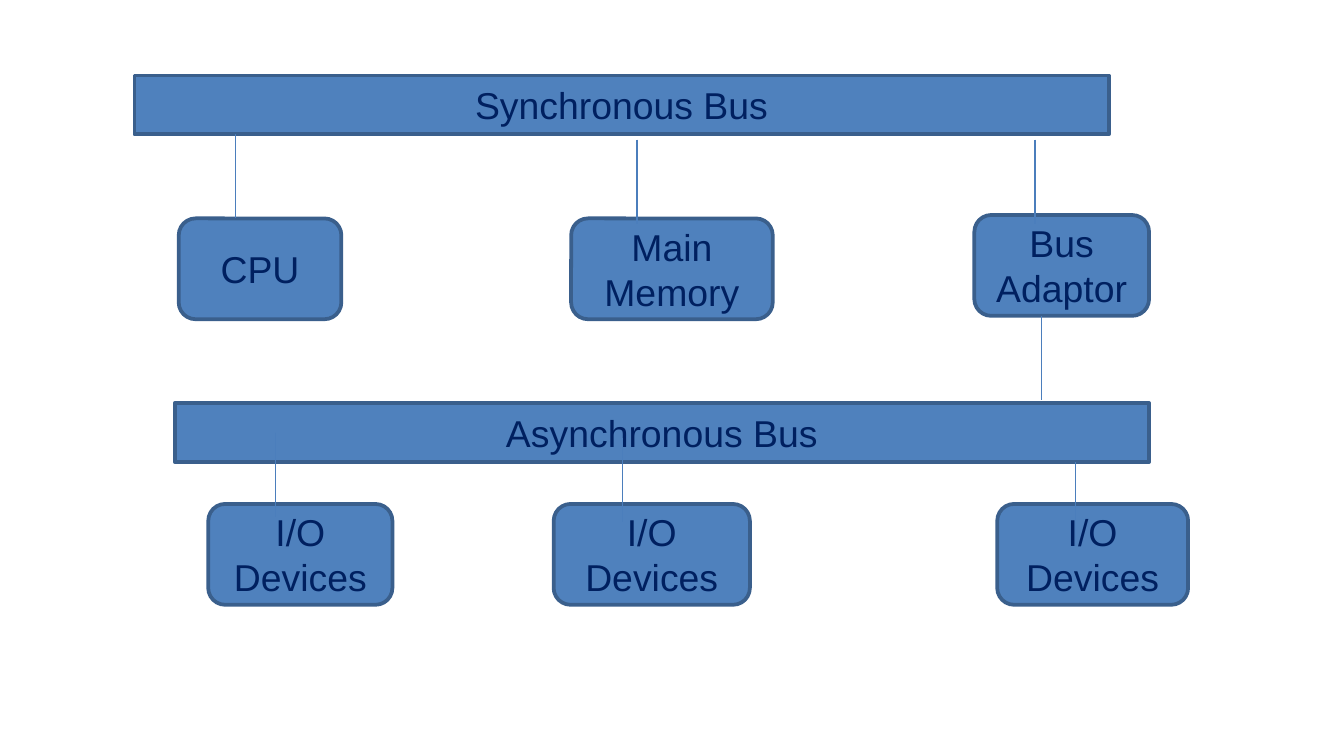
from lxml import etree
from pptx import Presentation
from pptx.dml.color import RGBColor
from pptx.enum.shapes import MSO_CONNECTOR, MSO_SHAPE
from pptx.enum.text import MSO_ANCHOR, PP_ALIGN
from pptx.oxml.ns import qn
from pptx.util import Inches, Pt

RECT, ROUND = MSO_SHAPE.RECTANGLE, MSO_SHAPE.ROUNDED_RECTANGLE
STRAIGHT = MSO_CONNECTOR.STRAIGHT
MIDDLE, CENTER = MSO_ANCHOR.MIDDLE, PP_ALIGN.CENTER
FILL = RGBColor(0x4F, 0x81, 0xBD)
EDGE = RGBColor(0x3A, 0x5F, 0x8C)
WIRE = RGBColor(0x4B, 0x7E, 0xBC)
INK = RGBColor(0x00, 0x20, 0x60)

WIDE = 10
HIGH = WIDE * 9 / 16
UNIT = 1 / 16
BUS_W, BUS_H = 7.25, 7 * UNIT
NODE_H, DROP = 12 * UNIT, 10 * UNIT
BUS_ROWS = (9 * UNIT, 48 * UNIT)
NODE_ROWS = (26 * UNIT, 60 * UNIT)

BUSES = [
    ("Synchronous Bus", 1, BUS_ROWS[0]),
    ("Asynchronous Bus", 1.3, BUS_ROWS[1]),
]
NODES = [
    ("CPU", 1.33, NODE_ROWS[0], 1.21),
    ("Main Memory", 4.25, NODE_ROWS[0], 1.5),
    ("Bus Adaptor", 7.25, 1.6, 1.3),
    ("I/O Devices", 7.42, NODE_ROWS[1], 1.42),
    ("I/O Devices", 4.12, NODE_ROWS[1], 1.46),
    ("I/O Devices", 1.55, NODE_ROWS[1], 1.37),
]
WIRES = [
    (1.75, BUS_ROWS[0] + BUS_H),
    (7.7, 1.04),
    (4.74, 1.04),
    (2.05, BUS_ROWS[1] + BUS_H / 2),
    (4.63, 3.26),
    (8, BUS_ROWS[1] + BUS_H),
    (7.75, NODES[2][2] + NODE_H),
]


def add_box(slide, kind, text, left, top, width, height):
    box = slide.shapes.add_shape(
        kind, Inches(left), Inches(top), Inches(width), Inches(height))
    box.shadow.inherit = False
    box.fill.solid()
    box.fill.fore_color.rgb = FILL
    box.line.color.rgb = EDGE
    box.line.width = Pt(2)
    frame = box.text_frame
    frame.text = text
    frame.word_wrap = True
    frame.vertical_anchor = MIDDLE
    para = frame.paragraphs[0]
    para.alignment = CENTER
    font = para.runs[0].font
    font.name = "Arial"
    font.size = Pt(20)
    font.color.rgb = INK


def add_wire(slide, x, top):
    wire = slide.shapes.add_connector(
        STRAIGHT, Inches(x), Inches(top), Inches(x), Inches(top + DROP))
    wire.line.color.rgb = WIRE
    wire.line.width = Pt(0.75)
    etree.SubElement(wire._element.spPr, qn("a:effectLst"))


def main():
    deck = Presentation()
    deck.slide_width, deck.slide_height = Inches(WIDE), Inches(HIGH)
    slide = deck.slides.add_slide(deck.slide_layouts[6])
    for text, left, top in BUSES:
        add_box(slide, RECT, text, left, top, BUS_W, BUS_H)
    for text, left, top, width in NODES:
        add_box(slide, ROUND, text, left, top, width, NODE_H)
    for x, top in WIRES:
        add_wire(slide, x, top)
    deck.save("out.pptx")


if __name__ == "__main__":
    main()
